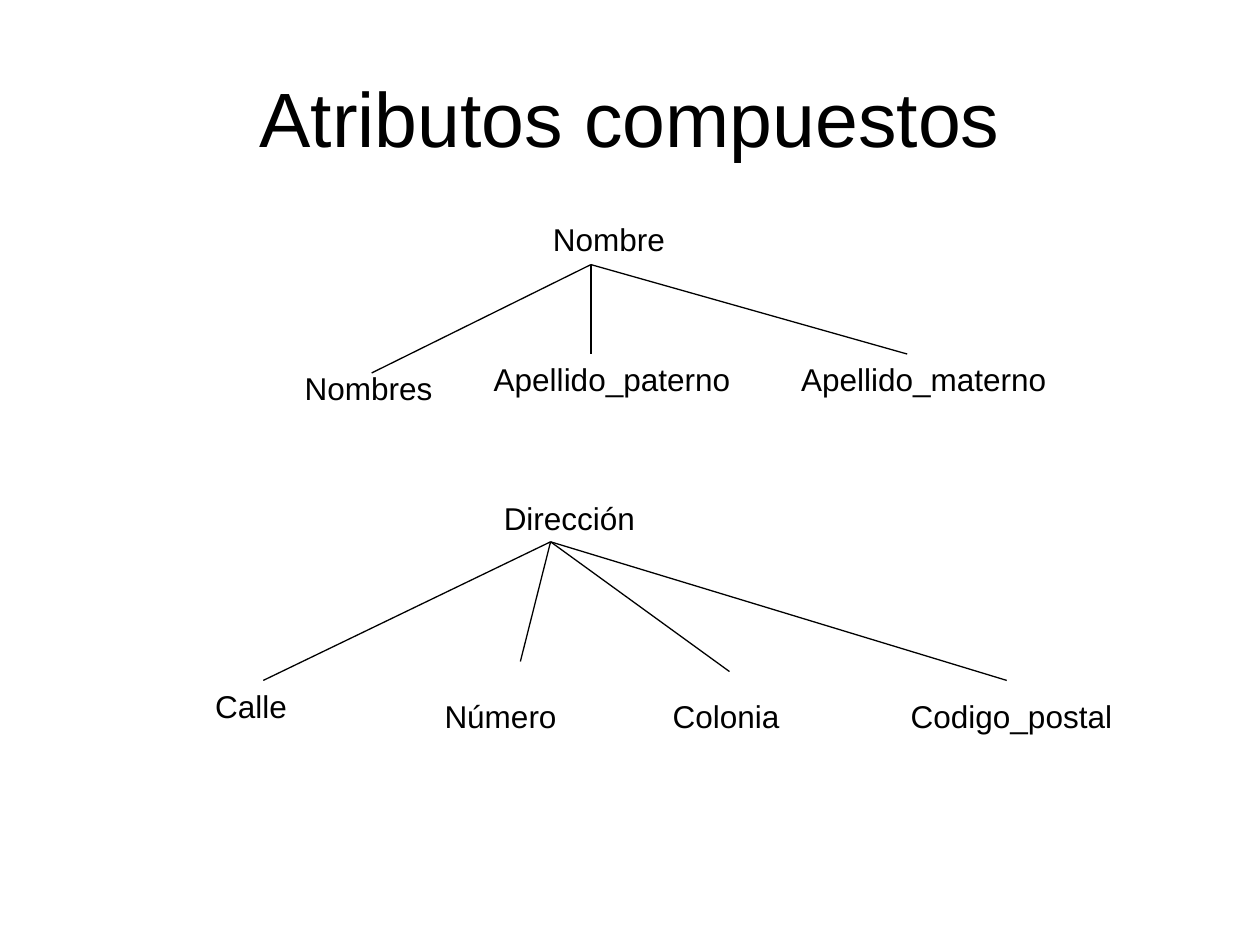
"""Build a slide with two trees of composite attributes."""
from dataclasses import dataclass

from lxml.etree import SubElement
from pptx import Presentation
from pptx.dml.color import RGBColor
from pptx.enum.shapes import MSO_CONNECTOR as Link
from pptx.enum.text import MSO_ANCHOR as Anchor, MSO_AUTO_SIZE as Fit, PP_ALIGN as Align
from pptx.oxml.ns import qn
from pptx.shapes.autoshape import Shape
from pptx.slide import Slide
from pptx.util import Emu, Pt

SCALE = 9144
BLACK = RGBColor(0, 0, 0)
FONT = "Arial"


@dataclass(frozen=True)
class Label:
    text: str
    left: int
    top: int
    width: int = 197


@dataclass(frozen=True)
class Leaf:
    label: Label
    tip: tuple[int, int]


@dataclass(frozen=True)
class Tree:
    root: Label
    fork: tuple[int, int]
    leaves: tuple[Leaf, ...]


TREES = (
    Tree(Label("Nombre", 429, 170), (469, 210), (
        Leaf(Label("Nombres", 232, 288), (295, 296)),
        Leaf(Label("Apellido_paterno", 382, 281, 221), (469, 281)),
        Leaf(Label("Apellido_materno", 626, 281, 221), (720, 281)),
    )),
    Tree(Label("Dirección", 390, 391), (437, 430), (
        Leaf(Label("Calle", 161, 540), (209, 540)),
        Leaf(Label("Número", 343, 548), (413, 525)),
        Leaf(Label("Colonia", 524, 548), (579, 533)),
        Leaf(Label("Codigo_postal", 713, 548), (799, 540)),
    )),
)


def px(size: int) -> Emu:
    """Turn px into EMU."""
    return Emu(size * SCALE)


def add_text(slide: Slide, label: Label, height: int = 40, size: int = 18) -> Shape:
    """Add a label as a text box."""
    box = slide.shapes.add_textbox(
        px(label.left), px(label.top), px(label.width), px(height))
    frame = box.text_frame
    frame.text = label.text
    frame.word_wrap = True
    frame.auto_size = Fit.SHAPE_TO_FIT_TEXT
    font = frame.paragraphs[0].runs[0].font
    font.name, font.size = FONT, Pt(size)
    font.color.rgb = BLACK
    return box


def add_title(slide: Slide, label: Label) -> None:
    """Add the centred title."""
    frame = add_text(slide, label, 125, 44).text_frame
    frame.auto_size = Fit.NONE
    frame.vertical_anchor = Anchor.MIDDLE
    frame.paragraphs[0].alignment = Align.CENTER


def add_line(slide: Slide, start: tuple[int, int], end: tuple[int, int]) -> None:
    """Add a thin branch line."""
    line = slide.shapes.add_connector(Link.STRAIGHT, *map(px, start + end))
    line.line.color.rgb = BLACK
    line.line.width = Pt(0.75)
    SubElement(line._element.spPr, qn("a:effectLst"))


def add_tree(slide: Slide, tree: Tree) -> None:
    """Add a root, its leaves and the branches."""
    add_text(slide, tree.root)
    for leaf in tree.leaves:
        add_text(slide, leaf.label)
    for leaf in tree.leaves:
        add_line(slide, tree.fork, leaf.tip)


def main() -> None:
    """Build and save the deck."""
    deck = Presentation()
    deck.slide_width, deck.slide_height = px(1000), px(750)
    slide = deck.slides.add_slide(deck.slide_layouts[6])
    add_title(slide, Label("Atributos compuestos", 50, 30, 900))
    for tree in TREES:
        add_tree(slide, tree)
    deck.save("out.pptx")


if __name__ == "__main__":
    main()
